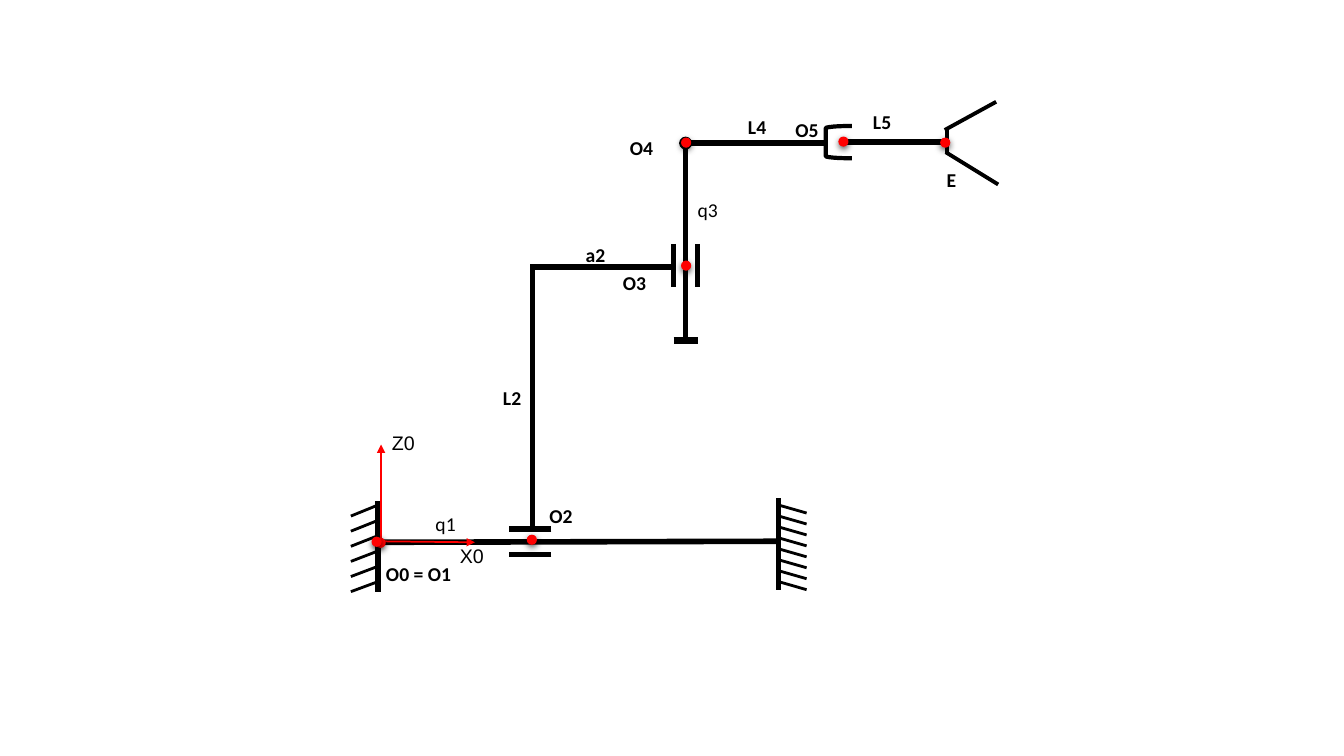
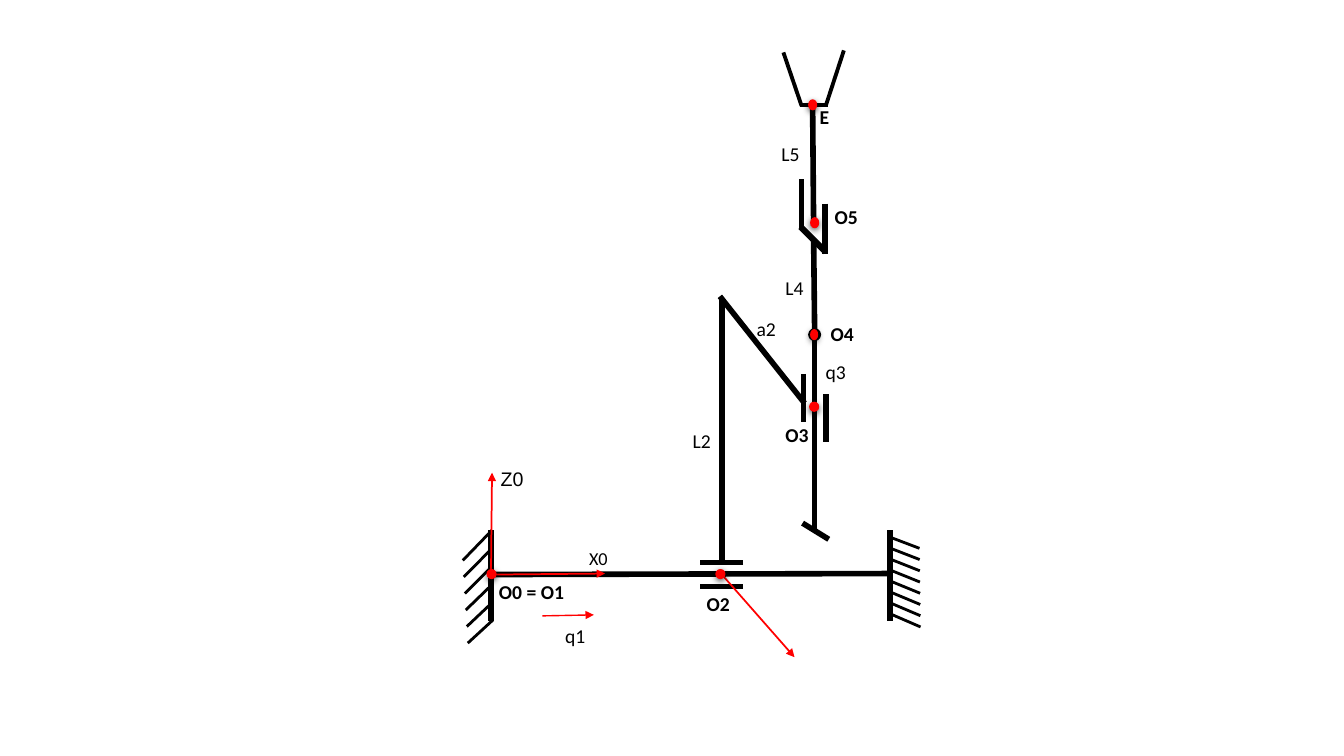
from dataclasses import dataclass

from lxml import etree
from pptx import Presentation
from pptx.dml.color import RGBColor
from pptx.enum.shapes import MSO_CONNECTOR, MSO_SHAPE
from pptx.enum.text import MSO_AUTO_SIZE, PP_ALIGN
from pptx.oxml.ns import qn
from pptx.util import Pt

STRAIGHT = MSO_CONNECTOR.STRAIGHT
OVAL, BRACKET = MSO_SHAPE.OVAL, MSO_SHAPE.LEFT_BRACKET
LEFT, CENTER = PP_ALIGN.LEFT, PP_ALIGN.CENTER
PX = 9144  # 100 px to the inch
BLANK_LAYOUT = 6


@dataclass(frozen=True)
class Theme:
    black: RGBColor = RGBColor(0, 0, 0)
    red: RGBColor = RGBColor(255, 0, 0)
    label_size: float = 14
    label_height: int = 34
    dot: int = 9
    dot_line: float = 0.75
    ring: int = 10
    link: float = 4
    hatch: float = 2
    gripper: float = 2.75
    bracket: float = 3
    axis: float = 1.25


THEME = Theme()
LABEL_STYLES = {
    "point": dict(bold=True, align=LEFT, line_spacing=1.07, space_after=8),
    "variable": dict(),
    "axis": dict(font="Arial"),
    "small axis": dict(size=13),
}

# Lines: x1, y1, x2, y2 and, where it differs, the width in points.
# Walls: post line, first hatch, last hatch, number of hatches.
# Dots: left, top and, where they differ, width, height.
# Labels: text, left, top, width, style.
FOLDED_ARM = dict(
    ring=(675, 137),
    links=[
        (547, 525, 505, 525), (547, 550, 505, 550),
        (770, 537, 375, 538),
        (528, 262, 528, 525), (667, 265, 526, 265),
        (668, 242, 668, 285), (692, 242, 692, 285),
        (680, 142, 680, 338), (668, 338, 692, 338, 5),
        (820, 142, 680, 142), (935, 141, 836, 141),
    ],
    gripper=[(939, 127, 939, 152), (938, 151, 990, 183), (937, 129, 988, 101)],
    walls=[
        ((772, 585, 772, 494), (772, 501, 800, 509), (772, 577, 800, 585), 8),
        ((375, 497, 375, 587), (375, 501, 348, 512), (375, 577, 348, 587), 6),
    ],
    axes=[(378, 539, 378, 441), (373, 537, 471, 538)],
    brackets=[(819, 125, 26, 32)],
    dots=[(373, 534), (369, 533), (523, 531), (676, 259), (676, 137),
          (832, 136), (933, 137)],
    labels=[
        ("O0 = O1", 373, 551, 85, "point"), ("O2", 535, 493, 49, "point"),
        ("O3", 608, 262, 45, "point"), ("O4", 615, 128, 53, "point"),
        ("O5", 779, 110, 45, "point"), ("E", 929, 160, 47, "point"),
        ("L2", 489, 376, 65, "point"), ("a2", 571, 234, 65, "point"),
        ("L4", 732, 107, 65, "point"), ("L5", 856, 103, 65, "point"),
        ("q1", 420, 503, 44, "variable"), ("q3", 680, 191, 44, "variable"),
        ("Z0", 375, 423, 50, "axis"), ("X0", 443, 535, 50, "axis"),
    ],
)
UPRIGHT_ARM = dict(
    ring=(803, 327),
    links=[
        (737, 558, 694, 558), (737, 582, 694, 582),
        (882, 569, 487, 570),
        (716, 296, 716, 559), (798, 400, 714, 294),
        (797, 371, 797, 419), (819, 391, 819, 439),
        (808, 332, 808, 528), (796, 519, 822, 535),
        (807, 237, 808, 331), (794, 225, 819, 250, 4.5),
        (818, 202, 818, 252), (795, 178, 795, 228), (806, 108, 807, 224),
    ],
    gripper=[(793, 104, 821, 104), (819, 105, 837, 50), (795, 105, 777, 52)],
    walls=[
        ((883, 616, 883, 526), (883, 533, 912, 544), (883, 609, 913, 622), 8),
        ((487, 526, 487, 616), (488, 526, 459, 556), (489, 615, 464, 638), 6),
    ],
    axes=[(487, 567, 488, 469), (489, 570, 600, 569),
          (716, 570, 788, 652), (538, 611, 589, 610, 1)],
    brackets=[],
    dots=[(483, 565), (710, 565), (803, 399), (804, 327, 7, 10),
          (804, 216, 8, 10), (802, 99, 8, 10)],
    labels=[
        ("O0 = O1", 485, 569, 85, "point"), ("O2", 691, 581, 49, "point"),
        ("O3", 769, 413, 45, "point"), ("O4", 814, 313, 53, "point"),
        ("O5", 818, 197, 55, "point"), ("E", 803, 98, 47, "point"),
        ("L2", 674, 421, 44, "variable"), ("a2", 738, 309, 44, "variable"),
        ("L4", 766, 269, 44, "variable"), ("L5", 762, 136, 44, "variable"),
        ("q1", 541, 614, 59, "variable"), ("q3", 807, 352, 44, "variable"),
        ("Z0", 483, 458, 50, "axis"), ("X0", 551, 538, 85, "small axis"),
    ],
)


def px(*lengths):
    return [round(length * PX) for length in lengths]


def add_line(page, ends, width, color=THEME.black, arrow=False):
    line = page.shapes.add_connector(STRAIGHT, *px(*ends))
    line.line.color.rgb = color
    line.line.width = Pt(width)
    if arrow:
        etree.SubElement(line.line._get_or_add_ln(), qn("a:tailEnd"), type="triangle")
    etree.SubElement(line._element.spPr, qn("a:effectLst"))


def add_lines(page, lines, default_width, **format):
    for x1, y1, x2, y2, *width in lines:
        add_line(page, (x1, y1, x2, y2), width[0] if width else default_width, **format)


def add_wall(page, post, first, last, count):
    """Draw a post with hatches spaced evenly from the first to the last."""
    add_line(page, post, THEME.link)
    for index in range(count):
        share = index / (count - 1)
        hatch = [a + (b - a) * share for a, b in zip(first, last)]
        add_line(page, hatch, THEME.hatch)


def add_outline(page, kind, frame, line_width, color, filled=True):
    shape = page.shapes.add_shape(kind, *px(*frame))
    shape.shadow.inherit = False
    if filled:
        shape.fill.solid()
        shape.fill.fore_color.rgb = color
    else:
        shape.fill.background()
    shape.line.color.rgb = color
    shape.line.width = Pt(line_width)
    return shape


def add_dot(page, left, top, width=THEME.dot, height=THEME.dot):
    dot = add_outline(page, OVAL, (left, top, width, height), THEME.dot_line, THEME.red)
    effects = dot._element.spPr.find(qn("a:effectLst"))
    shadow = etree.SubElement(effects, qn("a:outerShdw"), blurRad=str(Pt(4.5)),
                              dist=str(Pt(1.5)), dir="5400000", rotWithShape="0")
    shade = etree.SubElement(shadow, qn("a:srgbClr"), val=str(THEME.black))
    etree.SubElement(shade, qn("a:alpha"), val="63000")


def add_label(page, text, left, top, width, *, font="Calibri", size=THEME.label_size,
              bold=False, align=CENTER, line_spacing=None, space_after=0):
    box = page.shapes.add_textbox(*px(left, top, width, THEME.label_height))
    frame = box.text_frame
    frame.word_wrap = True
    frame.auto_size = MSO_AUTO_SIZE.SHAPE_TO_FIT_TEXT
    para = frame.paragraphs[0]
    para.alignment = align
    para.line_spacing = line_spacing
    para.space_after = Pt(space_after)
    span = para.add_run()
    span.text = text
    span.font.name = font
    span.font.size = Pt(size)
    span.font.bold = bold
    span.font.color.rgb = THEME.black


def add_arm(deck, arm):
    page = deck.slides.add_slide(deck.slide_layouts[BLANK_LAYOUT])
    add_outline(page, OVAL, (*arm["ring"], THEME.ring, THEME.ring), THEME.hatch, THEME.black)
    for wall in arm["walls"]:
        add_wall(page, *wall)
    add_lines(page, arm["links"], THEME.link)
    add_lines(page, arm["gripper"], THEME.gripper)
    add_lines(page, arm["axes"], THEME.axis, color=THEME.red, arrow=True)
    for bracket in arm["brackets"]:
        add_outline(page, BRACKET, bracket, THEME.bracket, THEME.black, filled=False)
    for dot in arm["dots"]:
        add_dot(page, *dot)
    for *place, style in arm["labels"]:
        add_label(page, *place, **LABEL_STYLES[style])


def main():
    deck = Presentation()
    deck.slide_width, deck.slide_height = px(1333, 750)
    for arm in (FOLDED_ARM, UPRIGHT_ARM):
        add_arm(deck, arm)
    deck.save("out.pptx")


if __name__ == "__main__":
    main()
